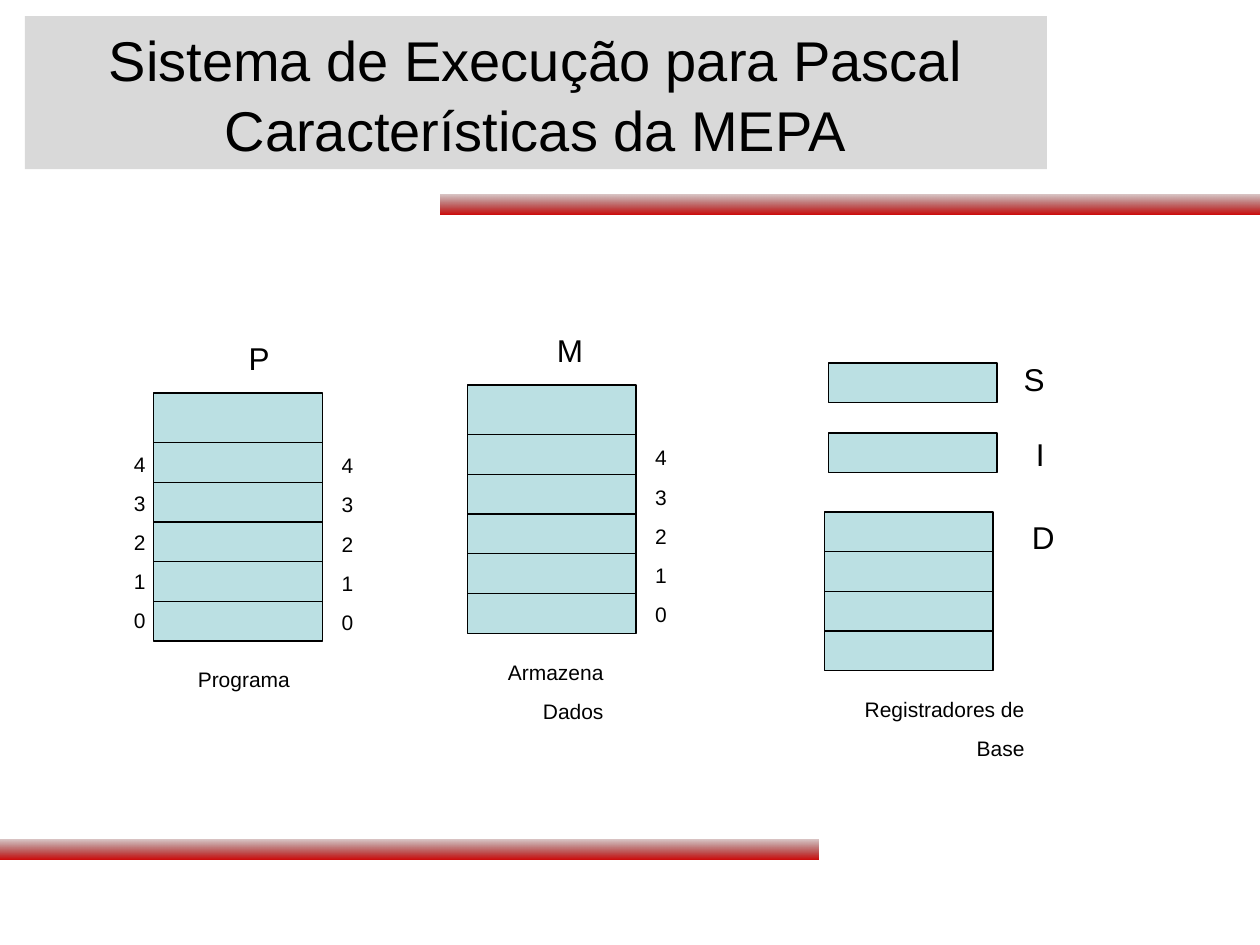
"""Build the slide on the memory layout of the MEPA machine."""
import lxml.etree
import pptx
import pptx.dml.color
import pptx.enum.shapes
import pptx.enum.text
import pptx.oxml.ns
import pptx.util

Pt = pptx.util.Pt
RGB = pptx.dml.color.RGBColor
ALIGN = pptx.enum.text.PP_ALIGN
KIND = pptx.enum.shapes.MSO_SHAPE
qn = pptx.oxml.ns.qn

BLACK = RGB(0, 0, 0)
GREY = RGB(0xD9, 0xD9, 0xD9)
CYAN = RGB(0xBB, 0xE0, 0xE3)
DARK = RGB(0x5E, 0, 0)
RED = RGB(0xCC, 0, 0)

WIDE = 96.5
ROW = 22.7
DIGITS = "4\n3\n2\n1\n0"


def write(frame, text, size=12, align=ALIGN.RIGHT, gap=8, pitch=None):
    frame.word_wrap = True
    frame.text = text
    for rank, para in enumerate(frame.paragraphs):
        para.alignment = align
        para.line_spacing = pitch
        para.space_before = Pt(gap if rank else 0)
        para.font.size = Pt(size)
        para.font.name = "Arial"
        para.font.color.rgb = BLACK


class Board:
    def __init__(self, slide, font="Arial", weight=0.75):
        self.slide = slide
        self.weight = Pt(weight)

    def title(self, text, left, top, width, height):
        head = self.slide.shapes.title
        head.left, head.top = Pt(left), Pt(top)
        head.width, head.height = Pt(width), Pt(height)
        head.fill.solid()
        head.fill.fore_color.rgb = GREY
        frame = head.text_frame
        frame.auto_size = pptx.enum.text.MSO_AUTO_SIZE.NONE
        frame.vertical_anchor = pptx.enum.text.MSO_ANCHOR.MIDDLE
        write(frame, text, size=32, align=ALIGN.CENTER, pitch=1.04)

    def rect(self, left, top, width, height):
        box = self.slide.shapes.add_shape(
            KIND.RECTANGLE, Pt(left), Pt(top), Pt(width), Pt(height))
        box.shadow.inherit = False
        return box

    def bar(self, left, top):
        box = self.rect(left, top, 468, 11.8)
        box.line.fill.background()
        box.fill.gradient()
        box.fill.gradient_angle = 270
        for stop, tint, place in zip(box.fill.gradient_stops, (DARK, RED), (0, 1)):
            stop.color.rgb = tint
            stop.position = place
        first = next(box.element.iter(qn("a:srgbClr")))
        lxml.etree.SubElement(first, qn("a:alpha")).set("val", "21000")

    def cell(self, left, top, height=ROW):
        box = self.rect(left, top, WIDE, height)
        box.fill.solid()
        box.fill.fore_color.rgb = CYAN
        box.line.color.rgb = BLACK
        box.line.width = self.weight
        return box

    def stack(self, left, top, rows, extra=0):
        box = self.cell(left, top, rows * ROW + extra)
        base = top + rows * ROW + extra
        for step in range(1, rows):
            line = self.rule(left, base - step * ROW)
            if not extra and 2 * step == rows:
                line.begin_connect(box, 1)
                line.end_connect(box, 3)

    def rule(self, left, top):
        line = self.slide.shapes.add_connector(
            pptx.enum.shapes.MSO_CONNECTOR.STRAIGHT,
            Pt(left), Pt(top), Pt(left + WIDE), Pt(top))
        line.line.color.rgb = BLACK
        line.line.width = self.weight
        lxml.etree.SubElement(line.element.spPr, qn("a:effectLst"))
        return line

    def label(self, text, left, top, width, height, **style):
        box = self.slide.shapes.add_textbox(
            Pt(left), Pt(top), Pt(width), Pt(height))
        box.text_frame.auto_size = pptx.enum.text.MSO_AUTO_SIZE.SHAPE_TO_FIT_TEXT
        write(box.text_frame, text, **style)

    def name(self, text, left, top):
        self.label(text, left, top, 51, 28.8, size=18)

    def index(self, left, top):
        self.label(DIGITS, left, top, 22.5, 109.4)

    def store(self, name, note, left, top, height):
        self.stack(left, top, 6, 5.6)
        self.name(name, left + 22.3, top - 34.2)
        self.index(left + 98.6, top + 30.6)
        self.label(note, left + 5.8, top + 153, 79.2, height)


def main():
    deck = pptx.Presentation()
    deck.slide_width, deck.slide_height = Pt(720), Pt(540)
    board = Board(deck.slides.add_slide(deck.slide_layouts[5]))
    board.bar(0, 479.5)
    board.bar(252, 111)
    board.title("Sistema de Execução para Pascal\vCaracterísticas da MEPA",
                14.2, 9.2, 584, 87.5)
    board.store("P", "Programa", 87.8, 224.6, 21.6)
    board.index(67.7, 254.2)
    board.store("M", "Armazena\nDados", 267, 220.1, 43.9)
    board.stack(471, 292.5, 4)
    board.name("D", 558.7, 292.3)
    board.label("Registradores de\nBase", 476.6, 394.6, 116, 43.9)
    for name, top, rise in (("S", 207.5, 202.3), ("I", 247.5, 244.8)):
        board.cell(473.3, top)
        board.name(name, 553, rise)
    deck.save("out.pptx")


if __name__ == "__main__":
    main()
